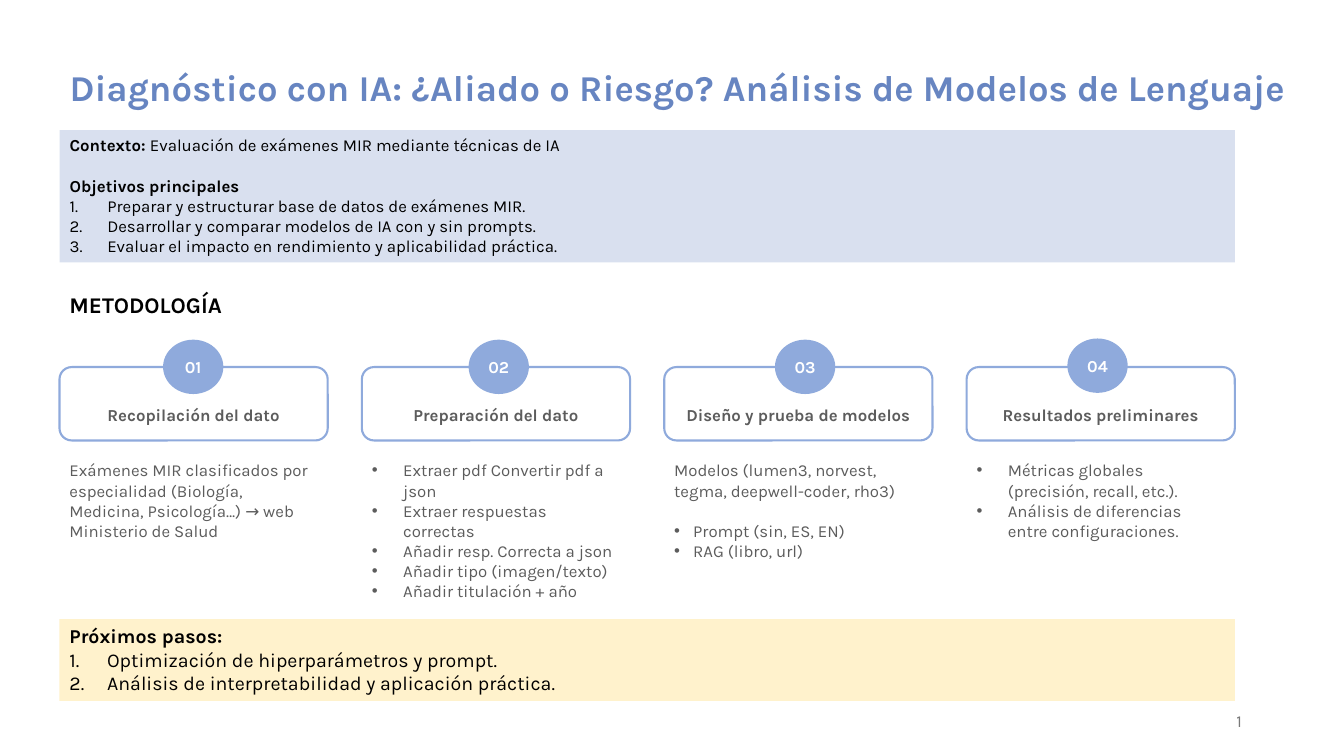
from lxml import etree
from pptx import Presentation
from pptx.dml.color import RGBColor
from pptx.enum import shapes, text
from pptx.oxml import ns
from pptx.util import Cm, Pt

TITLE_BLUE = RGBColor(0x67, 0x85, 0xC1)
STEP_BLUE = RGBColor(0x8F, 0xAA, 0xDC)
PALE_BLUE = RGBColor(0xD9, 0xE0, 0xEF)
PALE_YELLOW = RGBColor(0xFF, 0xF2, 0xCC)
BLACK = RGBColor(0, 0, 0)
WHITE = RGBColor(0xFF, 0xFF, 0xFF)
DARK_GREY = RGBColor(0x5C, 0x5C, 0x5C)
NUMBER_GREY = RGBColor(0x79, 0x79, 0x79)
FONT = "Karla"

# Each line holds: bold part, regular part, list marker, indent in cm, gap after in points.
TITLE = "Diagnóstico con IA: ¿Aliado o Riesgo? Análisis de Modelos de Lenguaje"
CONTEXT = [
    ("Contexto: ", "Evaluación de exámenes MIR mediante técnicas de IA", None, 0, 14.4),
    ("Objetivos principales", "", None, 0, 0),
    ("", "Preparar y estructurar base de datos de exámenes MIR.", "number", 0.95, 0),
    ("", "Desarrollar y comparar modelos de IA con y sin prompts.", "number", 0.95, 0),
    ("", "Evaluar el impacto en rendimiento y aplicabilidad práctica.", "number", 0.95, 0),
]
NEXT_STEPS = [
    ("Próximos pasos:", "", None, 0, 0),
    ("", "Optimización de hiperparámetros y prompt.", "number", 0.95, 0),
    ("", "Análisis de interpretabilidad y aplicación práctica.", "number", 0.95, 0),
]
STEPS = [
    ("Recopilación del dato", 4.11, 8.56, [
        ("", "Exámenes MIR clasificados por especialidad (Biología, Medicina, Psicología…) "
             "→ web Ministerio de Salud", None, 0, 0),
    ]),
    ("Preparación del dato", 11.81, 8.56, [
        ("", "Extraer pdf Convertir pdf a json", "bullet", 0.79, 0),
        ("", "Extraer respuestas correctas", "bullet", 0.79, 0),
        ("", "Añadir resp. Correcta a json", "bullet", 0.79, 0),
        ("", "Añadir tipo (imagen/texto)", "bullet", 0.79, 0),
        ("", "Añadir titulación + año", "bullet", 0.79, 0),
    ]),
    ("Diseño y prueba de modelos", 19.53, 8.56, [
        ("", "Modelos (lumen3, norvest, tegma, deepwell-coder, rho3)", None, 0, 14.4),
        ("", "Prompt (sin, ES, EN)", "bullet", 0.48, 0),
        ("", "RAG (libro, url)", "bullet", 0.48, 0),
    ]),
    ("Resultados preliminares", 26.9, 8.53, [
        ("", "Métricas globales (precisión, recall, etc.).", "bullet", 0.79, 0),
        ("", "Análisis de diferencias entre configuraciones.", "bullet", 0.79, 0),
    ]),
]

LEFT, BAND_WIDTH = 1.5, 29.62
STEP_PITCH, STEP_WIDTH = 7.62, 6.76


def place(shape, left, top, width, height):
    shape.left, shape.top, shape.width, shape.height = map(Cm, (left, top, width, height))


def fill_solid(shape, color):
    shape.fill.solid()
    shape.fill.fore_color.rgb = color


def set_font(font, size, color, bold):
    font.name, font.size, font.bold = FONT, Pt(size), bold
    font.color.rgb = color


def set_marker(paragraph, marker, indent):
    properties = paragraph._p.get_or_add_pPr()
    properties.set("marL", str(Cm(indent)))
    properties.set("indent", str(-Cm(indent)))
    if marker == "number":
        etree.SubElement(properties, ns.qn("a:buAutoNum"), type="arabicPeriod")
    elif marker == "bullet":
        etree.SubElement(properties, ns.qn("a:buFont"), typeface="Arial")
        etree.SubElement(properties, ns.qn("a:buChar"), char="•")
    else:
        etree.SubElement(properties, ns.qn("a:buNone"))


def write_lines(shape, lines, size, color, align=text.PP_ALIGN.LEFT, anchor=text.MSO_ANCHOR.TOP):
    frame = shape.text_frame
    frame.word_wrap = True
    frame.auto_size = text.MSO_AUTO_SIZE.NONE
    frame.vertical_anchor = anchor
    frame.text = "\n".join(bold + regular for bold, regular, *_ in lines)
    for paragraph, (bold, regular, marker, indent, gap) in zip(frame.paragraphs, lines):
        paragraph.alignment = align
        paragraph.space_before, paragraph.space_after = Pt(0), Pt(gap)
        set_marker(paragraph, marker, indent)
        if bold and regular:
            paragraph.runs[0].text = bold
            paragraph.add_run().text = regular
        for index, run in enumerate(paragraph.runs):
            set_font(run.font, size, color, bool(bold) and index == 0)


def add_text(slide, box, *format_options):
    shape = slide.shapes.add_textbox(*map(Cm, box))
    write_lines(shape, *format_options)
    return shape


def add_plain_shape(slide, kind, box):
    shape = slide.shapes.add_shape(kind, *map(Cm, box))
    shape.shadow.inherit = False
    return shape


def add_step(slide, index, label, circle_left, circle_top, details):
    left = LEFT + index * STEP_PITCH
    card = add_plain_shape(slide, shapes.MSO_SHAPE.ROUNDED_RECTANGLE, (left, 9.25, STEP_WIDTH, 1.85))
    card.fill.background()
    card.line.color.rgb = STEP_BLUE
    card.line.width = Pt(1.5)

    circle = add_plain_shape(slide, shapes.MSO_SHAPE.OVAL, (circle_left, circle_top, 1.52, 1.37))
    fill_solid(circle, STEP_BLUE)
    circle.line.fill.background()
    write_lines(circle, [(f"{index + 1:02}", "", None, 0, 0)], 12, WHITE,
                text.PP_ALIGN.CENTER, text.MSO_ANCHOR.MIDDLE)

    add_text(slide, (left, 10.08, STEP_WIDTH, 0.77), [(label, "", None, 0, 0)],
             12, DARK_GREY, text.PP_ALIGN.CENTER)
    add_text(slide, (left, 11.47, STEP_WIDTH, 3.33), details, 12, DARK_GREY)


def add_slide_number(slide):
    shape = slide.shapes.add_textbox(Cm(23.93), Cm(17.65), Cm(7.62), Cm(1.02))
    write_lines(shape, [("", "1", None, 0, 0)], 12, NUMBER_GREY,
                text.PP_ALIGN.RIGHT, text.MSO_ANCHOR.MIDDLE)
    run = shape.text_frame.paragraphs[0].runs[0]._r
    run.tag = ns.qn("a:fld")
    run.set("id", "{B6F15528-21DE-4FAA-801E-634DDDAF4B2B}")
    run.set("type", "slidenum")


def main():
    presentation = Presentation()
    presentation.slide_width, presentation.slide_height = Cm(33.87), Cm(19.05)
    slide = presentation.slides.add_slide(presentation.slide_layouts[1])

    title, context = slide.shapes.title, slide.placeholders[1]
    place(title, LEFT, 1.24, 33, 2.06)
    write_lines(title, [(TITLE, "", None, 0, 0)], 26, TITLE_BLUE,
                text.PP_ALIGN.LEFT, text.MSO_ANCHOR.MIDDLE)
    title.text_frame.paragraphs[0].line_spacing = 0.9

    place(context, LEFT, 3.28, BAND_WIDTH, 3.33)
    fill_solid(context, PALE_BLUE)
    write_lines(context, CONTEXT, 12, BLACK)

    add_text(slide, (LEFT, 7.21, 16, 0.94), [("METODOLOGÍA", "", None, 0, 0)], 16, BLACK)
    for index, step in enumerate(STEPS):
        add_step(slide, index, *step)

    next_steps = add_text(slide, (LEFT, 15.6, BAND_WIDTH, 2.06), NEXT_STEPS, 14, BLACK)
    fill_solid(next_steps, PALE_YELLOW)
    add_slide_number(slide)
    presentation.save("out.pptx")


if __name__ == "__main__":
    main()
